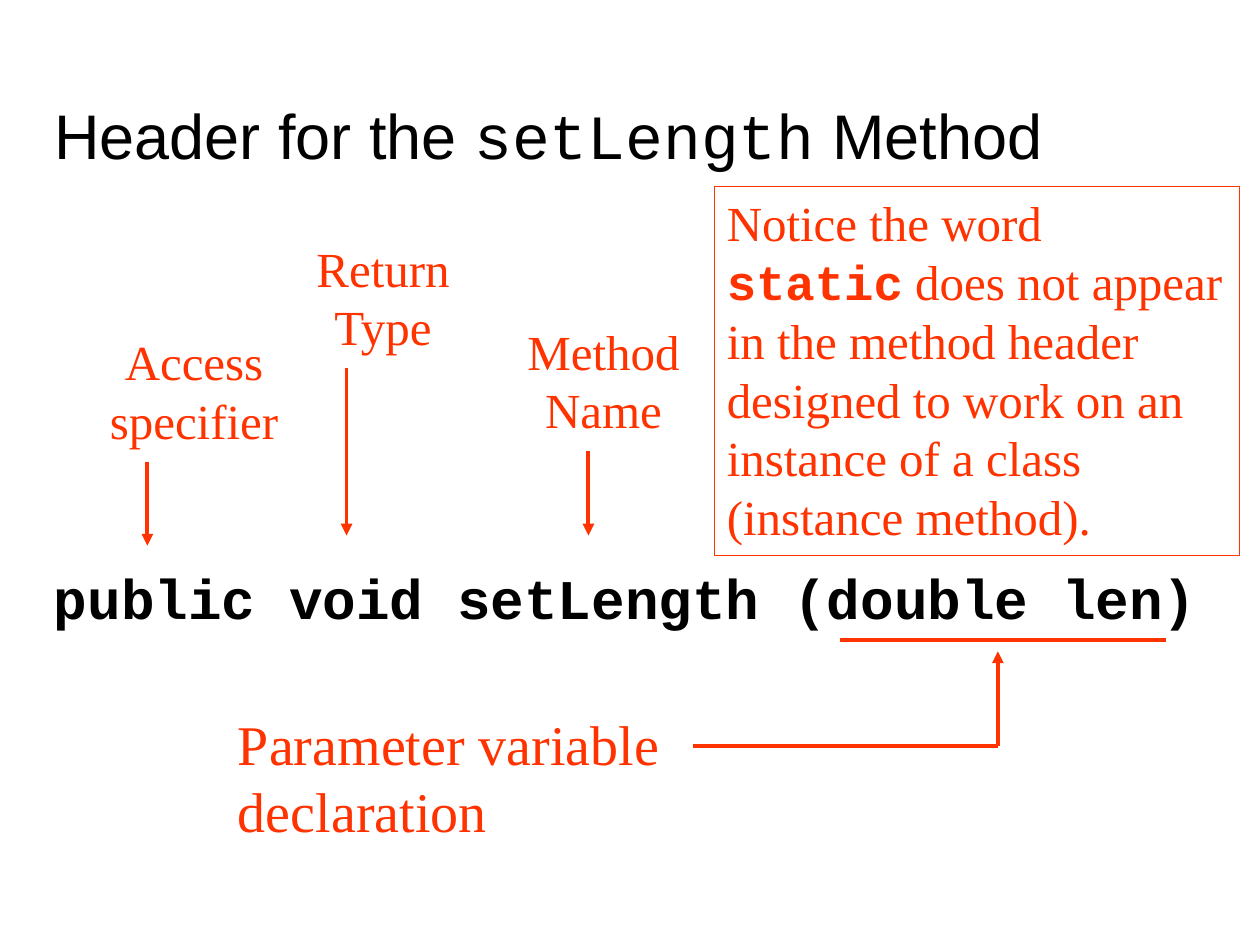
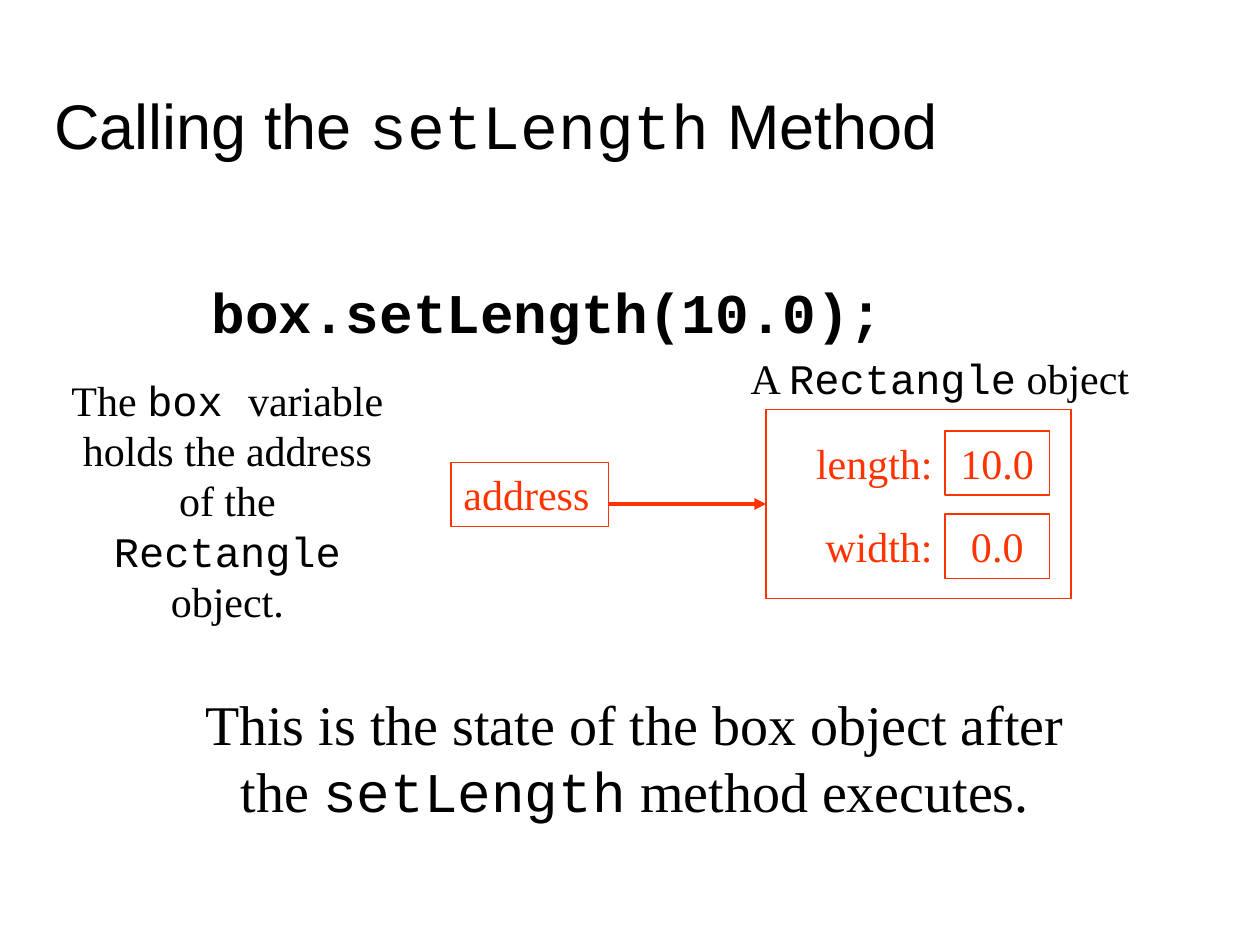
from lxml.etree import SubElement
from pptx import Presentation
from pptx.dml.color import RGBColor
from pptx.enum.shapes import MSO_CONNECTOR, MSO_SHAPE
from pptx.enum.text import MSO_ANCHOR, MSO_AUTO_SIZE, PP_ALIGN
from pptx.oxml.ns import qn
from pptx.util import Inches, Pt

HUES = {"ink": "000000", "red": "FF3300"}
SIDES = {"l": PP_ALIGN.LEFT, "c": PP_ALIGN.CENTER, "r": PP_ALIGN.RIGHT}
SANS, SERIF, MONO = "Arial", "Times New Roman", "Courier New"

# Backticks mark code. Places are left, top, width, height in inches.
HEADER = {
    "title": ("Header for the `setLength` Method", 0.17),
    "code": ("`public void setLength (double len)`", (0.33, 4.42, 9.33, 0.83)),
    "labels": [
        ("Access specifier", (0.5, 2.58, 2.08, 1.04), 28, "c"),
        ("Return Type", (2.25, 1.84, 1.58, 1.04), 28, "c"),
        ("Method Name", (4.08, 2.5, 1.42, 1.04), 28, "c"),
        ("Parameter variable declaration", (1.79, 5.58, 4.42, 0.46), 32, "l"),
    ],
    "arrows": [
        ((1.17, 3.67), (1.17, 4.33)),
        ((2.75, 2.92), (2.75, 4.25)),
        ((4.67, 3.58), (4.67, 4.25)),
        ((7.92, 5.92), (7.92, 5.17)),
    ],
    "rules": [((6.67, 5.08), (9.25, 5.08)), ((5.5, 5.92), (7.92, 5.92))],
    "notice": ("Notice the word `static` does not appear in the method header "
               "designed to work on an instance of a class (instance method).",
               (5.67, 1.48, 4.17, 2.93)),
}
CALL = {
    "title": ("Calling the `setLength` Method", 0.09),
    "code": ("`box.setLength(10.0);`", (1.58, 2.15, 6.14, 0.73)),
    "texts": [
        ("The `box `variable holds the address of the `Rectangle` object.",
         (0.39, 2.92, 2.83, 2.12), 24),
        ("A `Rectangle` object", (5.5, 2.75, 3.92, 0.5), 24),
        ("This is the state of the box object after the `setLength` "
         "method executes.", (1.5, 5.42, 7.08, 1.17), 32),
    ],
    "pointer": ("address", (3.58, 3.67, 1.25, 0.51)),
    "object": (6.08, 3.25, 2.42, 1.5),
    "fields": [("length:", "10.0"), ("width:", "0.0")],
}


def place(box):
    return [Inches(n) for n in box]


def hue(name):
    return RGBColor.from_string(HUES[name])


def write(frame, text, size, color="red", side="l", font=SERIF, bold=False):
    """Fill a frame, setting the parts between backticks as code."""
    para = frame.paragraphs[0]
    para.alignment = SIDES[side]
    for i, part in enumerate(text.split("`")):
        if part:
            code = i % 2 == 1
            run = para.add_run()
            run.text = part
            look = {"name": MONO if code else font, "size": Pt(size),
                    "bold": bold and code}
            for key, value in look.items():
                setattr(run.font, key, value)
            run.font.color.rgb = hue(color)


def fit(frame):
    look = {"word_wrap": True, "auto_size": MSO_AUTO_SIZE.SHAPE_TO_FIT_TEXT,
            "vertical_anchor": MSO_ANCHOR.TOP}
    for key, value in look.items():
        setattr(frame, key, value)


def label(slide, text, box, size, **style):
    frame = slide.shapes.add_textbox(*place(box)).text_frame
    fit(frame)
    write(frame, text, size, **style)
    return frame


def panel(slide, box, text="", size=24, **style):
    """Draw an outlined red box, with text if given."""
    shape = slide.shapes.add_shape(MSO_SHAPE.RECTANGLE, *place(box))
    shape.shadow.inherit = False
    shape.fill.background()
    shape.line.color.rgb = hue("red")
    shape.line.width = Pt(0.75)
    if text:
        fit(shape.text_frame)
        write(shape.text_frame, text, size, **style)
    return shape


def link(slide, start, end, head=True):
    line = slide.shapes.add_connector(
        MSO_CONNECTOR.STRAIGHT, *place(start + end))
    line.line.color.rgb = hue("red")
    line.line.width = Pt(2.25)
    if head:
        SubElement(line.line._get_or_add_ln(), qn("a:tailEnd"),
                   type="triangle")
    SubElement(line._element.spPr, qn("a:effectLst"))
    return line


def start(deck, data):
    """Add a slide with its title and its line of code."""
    slide = deck.slides.add_slide(deck.slide_layouts[5])
    text, top = data["title"]
    title = slide.shapes.title
    spot = dict(zip(("left", "top", "width", "height"),
                    place((0.33, top, 8.5, 1.25))))
    for key, value in spot.items():
        setattr(title, key, value)
    title.text_frame.vertical_anchor = MSO_ANCHOR.BOTTOM
    write(title.text_frame, text, 36, color="ink", font=SANS)
    code, box = data["code"]
    frame = label(slide, code, box, 32, color="ink", bold=True)
    frame.auto_size = MSO_AUTO_SIZE.NONE
    frame.margin_right = 0
    return slide


def header(deck):
    slide = start(deck, HEADER)
    for text, box, size, side in HEADER["labels"]:
        label(slide, text, box, size, side=side)
    for ends in HEADER["arrows"]:
        link(slide, *ends)
    for ends in HEADER["rules"]:
        link(slide, *ends, head=False)
    text, box = HEADER["notice"]
    panel(slide, box, text, 28, bold=True)


def call(deck):
    slide = start(deck, CALL)
    for text, box, size in CALL["texts"]:
        label(slide, text, box, size, color="ink", side="c")
    text, spot = CALL["pointer"]
    panel(slide, spot, text)
    left, top, width, height = CALL["object"]
    frame = panel(slide, CALL["object"])
    for i, (name, value) in enumerate(CALL["fields"]):
        y = top + 0.17 + i * 0.66
        label(slide, name, (left + 0.17, y, 1.25, 0.5), 24, side="r")
        panel(slide, (left + 1.42, y, 0.83, 0.51), value, side="c")
    mid = top + height / 2
    line = link(slide, (spot[0] + spot[2], mid), (left, mid))
    line.end_connect(frame, 1)


def main():
    deck = Presentation()
    deck.slide_width, deck.slide_height = Inches(10), Inches(7.5)
    header(deck)
    call(deck)
    deck.save("out.pptx")


if __name__ == "__main__":
    main()
